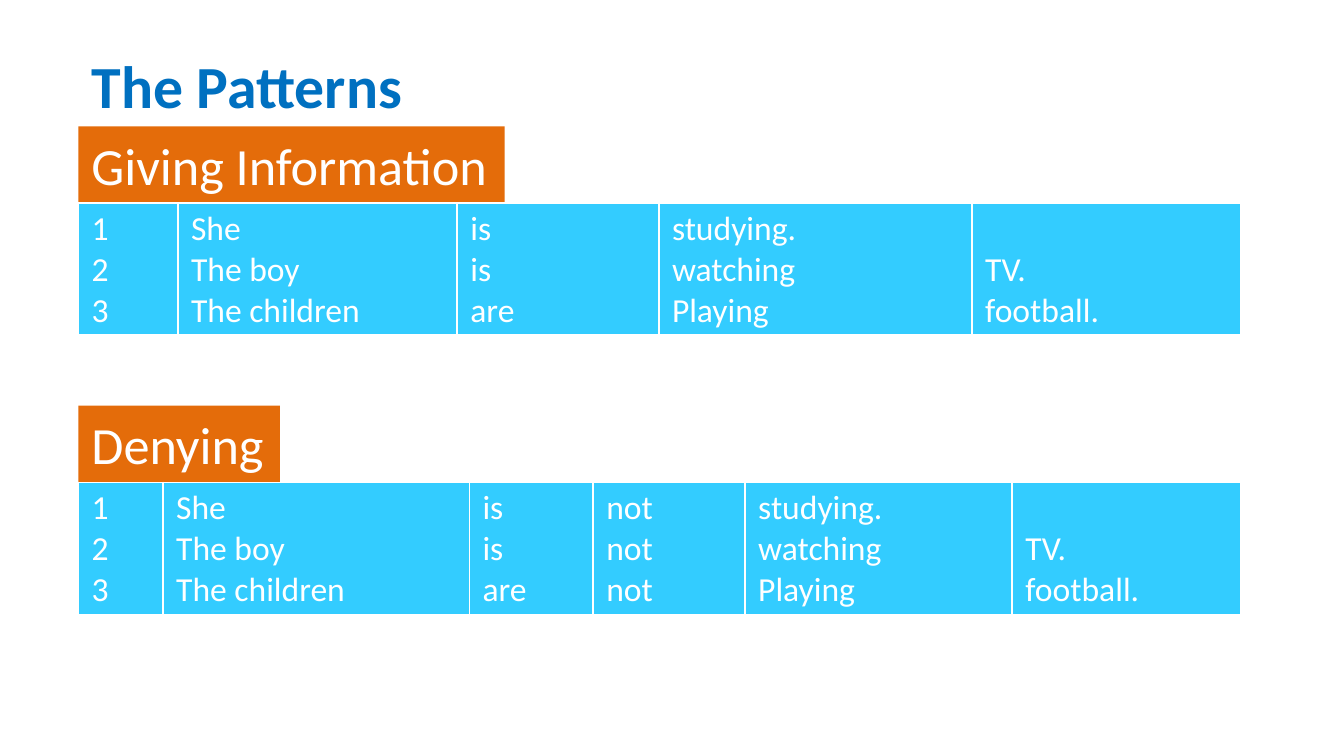
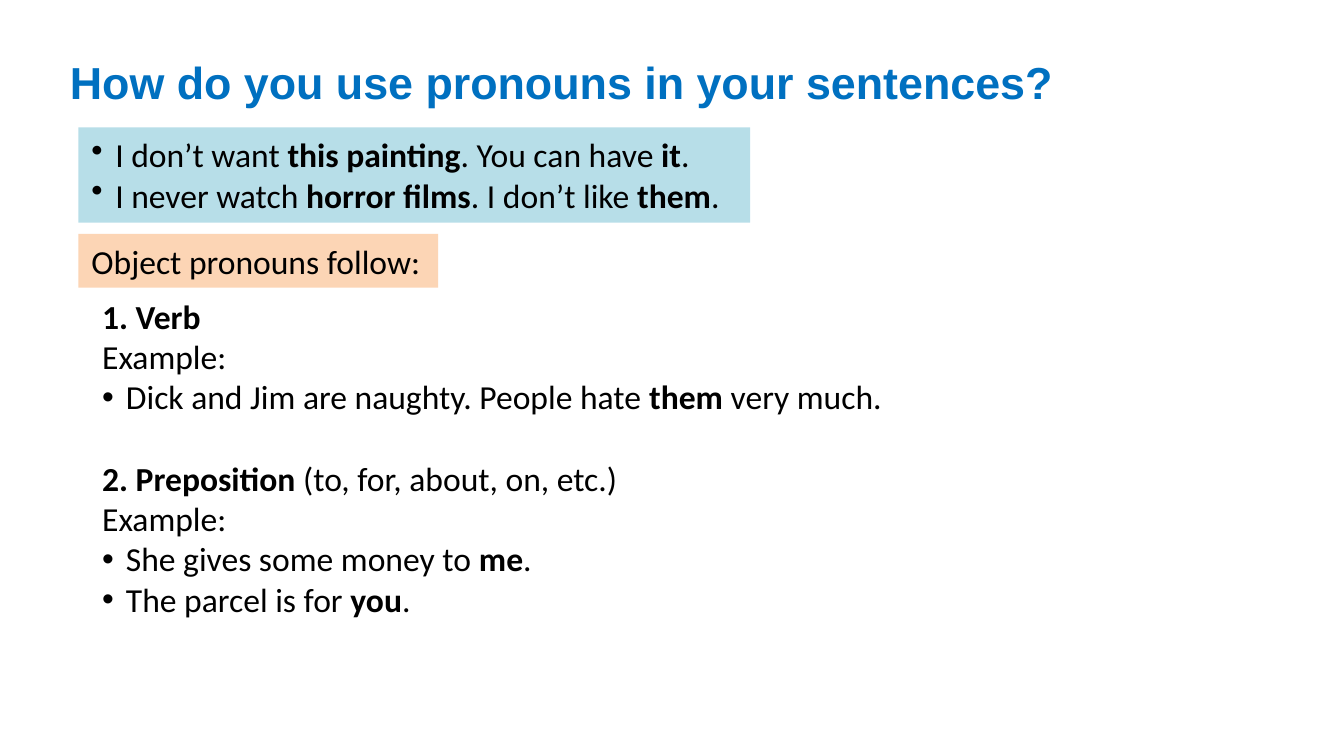
import dataclasses

import pptx
import pptx.dml.color
import pptx.enum.shapes
import pptx.enum.text
import pptx.oxml
import pptx.oxml.ns
import pptx.util

Cm = pptx.util.Cm
Pt = pptx.util.Pt
ANCHOR = pptx.enum.text.MSO_ANCHOR


@dataclasses.dataclass(frozen=True)
class Theme:
    title: str = "0070C0"
    heading: str = "E46C0A"
    grid: str = "33CCFF"
    examples: str = "B7DEE8"
    note: str = "FCD5B5"
    light: str = "FFFFFF"
    dark: str = "000000"
    font: str = "Calibri"
    title_font: str = "Arial"
    patterns_size: int = 32
    heading_size: int = 28
    question_size: int = 24
    text_size: int = 18
    line: float = 22  # height of one line of text, in points
    bullet_indent: float = 0.45


THEME = Theme()
LEFT = 1.48  # shared left edge of bands and tables, in cm
BULLET = "• "


def apply(target, values):
    for name, value in values.items():
        setattr(target, name, value)


def rgb(colour):
    return pptx.dml.color.RGBColor.from_string(colour)


# Text: **...** marks bold, a leading bullet sign becomes a list bullet
def set_bullet(paragraph, shown):
    properties = paragraph._p.get_or_add_pPr()
    indent = Cm(THEME.bullet_indent) if shown else 0
    properties.set("marL", str(indent))
    properties.set("indent", str(-indent))
    tag = 'a:buChar char="•"' if shown else "a:buNone"
    properties.append(pptx.oxml.parse_xml(f"<{tag} {pptx.oxml.ns.nsdecls('a')}/>"))


def write(frame, lines, size, colour, font=THEME.font, bold=False, gaps=()):
    for number, line in enumerate(lines):
        paragraph = frame.add_paragraph() if number else frame.paragraphs[0]
        apply(paragraph, {
            "alignment": pptx.enum.text.PP_ALIGN.LEFT,
            "space_before": Pt(THEME.line if number in gaps else 0),
        })
        set_bullet(paragraph, line.startswith(BULLET))
        for part, text in enumerate(line.removeprefix(BULLET).split("**")):
            if text:
                run = paragraph.add_run()
                run.text = text
                apply(run.font, {"name": font, "size": Pt(size),
                                 "bold": bold or part % 2 == 1})
                run.font.color.rgb = rgb(colour)


def set_frame(frame, wrap=True):
    apply(frame, {
        "word_wrap": wrap,
        "auto_size": pptx.enum.text.MSO_AUTO_SIZE.NONE,
        "vertical_anchor": ANCHOR.TOP,
        "margin_left": Cm(0.25), "margin_right": Cm(0.25),
        "margin_top": Cm(0.13), "margin_bottom": Cm(0.13),
    })


def place(shape, left, top, width, height):
    apply(shape, {"left": Cm(left), "top": Cm(top),
                  "width": Cm(width), "height": Cm(height)})


# Elements
def fill_placeholder(placeholder, box, lines, size, colour, **style):
    place(placeholder, *box)
    set_frame(placeholder.text_frame)
    write(placeholder.text_frame, lines, size, colour, **style)


def add_band(slide, top, width, height, lines, fill, size, colour, wrap=False):
    band = slide.shapes.add_shape(pptx.enum.shapes.MSO_SHAPE.RECTANGLE,
                                  Cm(LEFT), Cm(top), Cm(width), Cm(height))
    band.shadow.inherit = False
    band.fill.solid()
    band.fill.fore_color.rgb = rgb(fill)
    band.line.fill.background()
    set_frame(band.text_frame, wrap)
    write(band.text_frame, lines, size, colour)


def set_borders(cell):
    properties = cell._tc.get_or_add_tcPr()
    for side, width in {"L": 1, "R": 1, "T": 1, "B": 3}.items():
        properties.append(pptx.oxml.parse_xml(
            f'<a:ln{side} {pptx.oxml.ns.nsdecls("a")} w="{Pt(width)}"><a:solidFill>'
            f'<a:srgbClr val="{THEME.light}"/></a:solidFill></a:ln{side}>'))


def add_pattern(slide, top, heading, heading_width, columns):
    """A heading band with its one-row table; columns holds (width, lines)."""
    heading_height, row_height = 1.45, 2.46
    add_band(slide, top, heading_width, heading_height, [heading],
             THEME.heading, THEME.heading_size, THEME.light)
    pattern = slide.shapes.add_table(
        1, len(columns), Cm(LEFT), Cm(top + heading_height),
        Cm(sum(width for width, _ in columns)), Cm(row_height)).table
    apply(pattern, {"first_row": False, "horz_banding": False})
    for index, (width, lines) in enumerate(columns):
        pattern.columns[index].width = Cm(width)
        cell = pattern.cell(0, index)
        set_borders(cell)
        cell.fill.solid()
        cell.fill.fore_color.rgb = rgb(THEME.grid)
        # The short last column lines up with the lower sentences
        apply(cell, {
            "margin_left": Cm(0.25), "margin_right": Cm(0.25),
            "margin_top": Cm(0.1), "margin_bottom": Cm(0.1),
            "vertical_anchor": ANCHOR.TOP if len(lines) == 3 else ANCHOR.BOTTOM,
        })
        write(cell.text_frame, lines, THEME.text_size, THEME.light)


# Slides
def build_patterns(deck):
    slide = deck.slides.add_slide(deck.slide_layouts.get_by_name("Title Only"))
    fill_placeholder(slide.shapes.title, (1.48, 0.79, 16.7, 1.62), ["The Patterns"],
                     THEME.patterns_size, THEME.title, bold=True)
    numbers = ["1", "2", "3"]
    subjects = ["She", "The boy", "The children"]
    auxiliaries = ["is", "is", "are"]
    verbs = ["studying.", "watching", "Playing"]
    objects = ["TV.", "football."]
    add_pattern(slide, 2.39, "Giving Information", 8.06, [
        (1.88, numbers), (5.28, subjects), (3.81, auxiliaries),
        (5.92, verbs), (5.08, objects)])
    add_pattern(slide, 7.67, "Denying", 3.81, [
        (1.6, numbers), (5.79, subjects), (2.34, auxiliaries),
        (2.87, ["not"] * 3), (5.05, verbs), (4.32, objects)])


def build_pronouns(deck):
    slide = deck.slides.add_slide(deck.slide_layouts.get_by_name("Title and Content"))
    fill_placeholder(slide.shapes.title, (1.07, 0.91, 20.96, 1.28),
                     ["How do you use pronouns in your sentences?"],
                     THEME.question_size, THEME.title,
                     font=THEME.title_font, bold=True)
    add_band(slide, 2.41, 12.7, 1.8, [
        "• I don’t want **this painting**. You can have **it**.",
        "• I never watch **horror films**. I don’t like **them**.",
    ], THEME.examples, THEME.text_size, THEME.dark, wrap=True)
    add_band(slide, 4.42, 6.8, 1.02, ["Object pronouns follow:"],
             THEME.note, THEME.text_size, THEME.dark)
    fill_placeholder(slide.placeholders[1], (1.68, 5.46, 16.33, 6.4), [
        "**1. Verb**",
        "Example:",
        "• Dick and Jim are naughty. People hate **them** very much.",
        "**2. Preposition **(to, for, about, on, etc.)",
        "Example:",
        "• She gives some money to **me**.",
        "• The parcel is for **you**.",
    ], THEME.text_size, THEME.dark, gaps=(3,))


def main():
    deck = pptx.Presentation()
    apply(deck, {"slide_width": Cm(25.4), "slide_height": Cm(14.29)})
    build_patterns(deck)
    build_pronouns(deck)
    deck.save("out.pptx")


if __name__ == "__main__":
    main()
